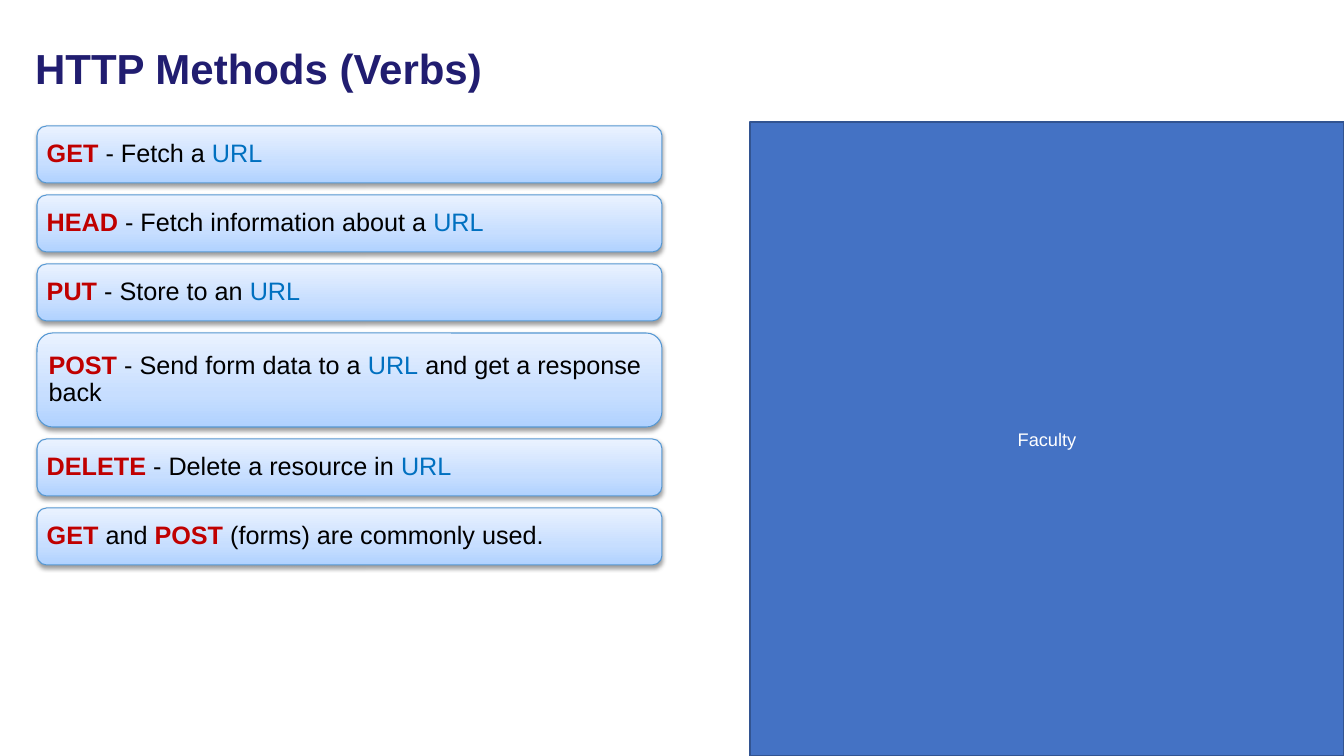
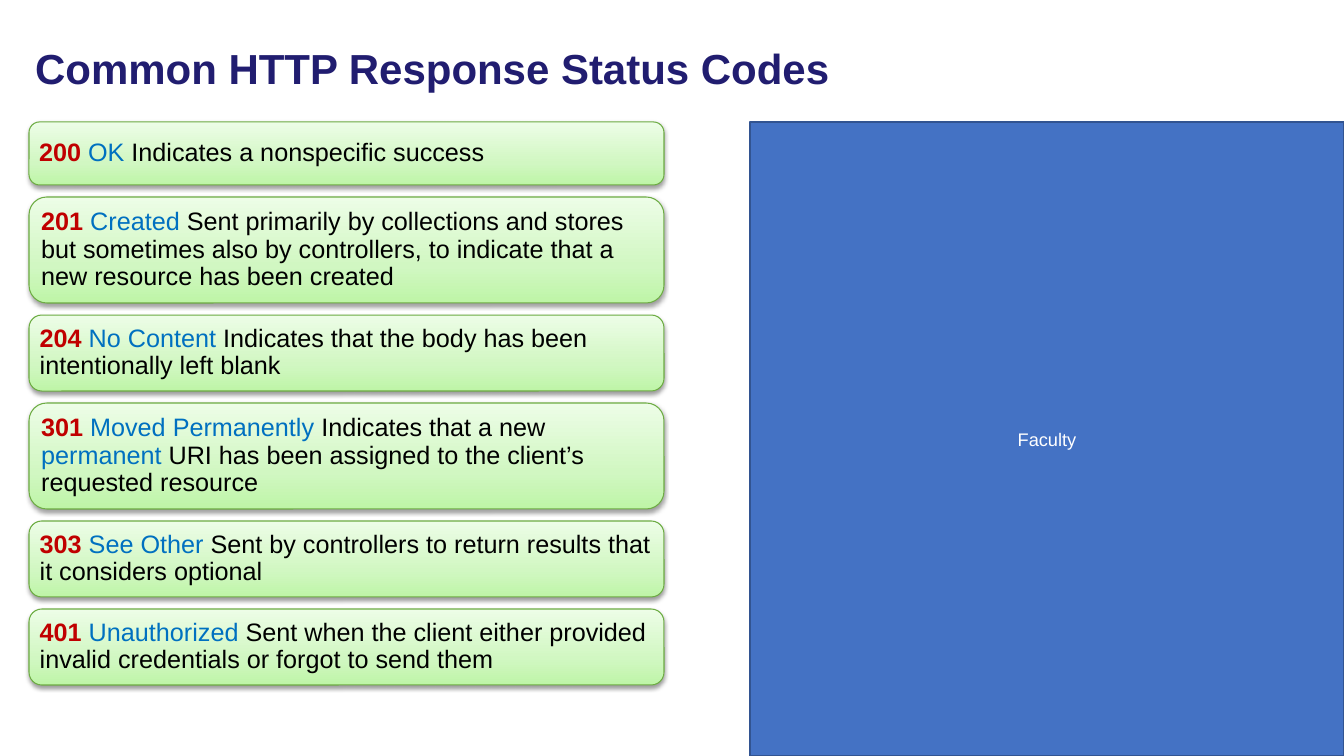
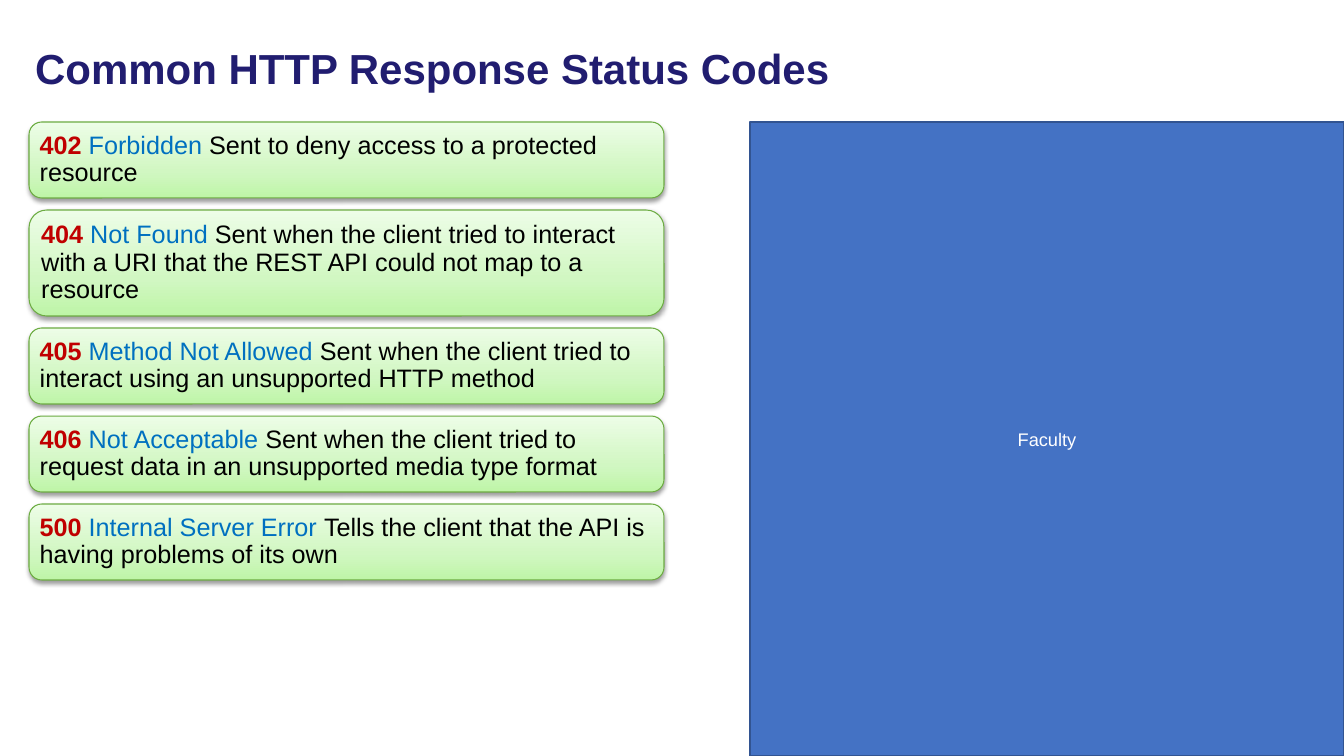
import copy

import lxml.etree
import pptx
import pptx.dml.color
import pptx.enum.shapes
import pptx.enum.text
import pptx.oxml.ns
import pptx.util

RGBColor = pptx.dml.color.RGBColor
MSO_ANCHOR = pptx.enum.text.MSO_ANCHOR
MSO_SHAPE = pptx.enum.shapes.MSO_SHAPE
PP_ALIGN = pptx.enum.text.PP_ALIGN
qn = pptx.oxml.ns.qn

SLIDE_WIDTH, SLIDE_HEIGHT = 1344, 756
EMU_PER_PX = 12192000 / SLIDE_WIDTH
FONT = "Arial"

NAVY = RGBColor(0x21, 0x1D, 0x70)
RED = RGBColor(0xC0, 0x00, 0x00)
LINK_BLUE = RGBColor(0x00, 0x70, 0xC0)
BLACK = RGBColor(0x00, 0x00, 0x00)
WHITE = RGBColor(0xFF, 0xFF, 0xFF)
PANEL_BLUE = RGBColor(0x44, 0x72, 0xC4)
PANEL_EDGE = RGBColor(0x32, 0x54, 0x91)
BLUE_EDGE = RGBColor(0x56, 0x98, 0xD3)
BLUE_STOPS = (RGBColor(0xB0, 0xD2, 0xFF), RGBColor(0xC7, 0xDE, 0xFF), RGBColor(0xEA, 0xF2, 0xFF))
GREEN_EDGE = RGBColor(0x6D, 0xAC, 0x43)
GREEN_STOPS = (RGBColor(0xBE, 0xF5, 0xA7), RGBColor(0xD1, 0xF7, 0xC2), RGBColor(0xED, 0xFD, 0xE7))
BLUE_THEME = (BLUE_STOPS, BLUE_EDGE)
GREEN_THEME = (GREEN_STOPS, GREEN_EDGE)
STOP_POSITIONS = (0, 0.35, 1)

TITLE_BOX = (25, 25, 1190, 92)
PANEL_BOX = (750, 122, 594, 634)
METHOD_COLUMN = (37, 126, 625)
STATUS_COLUMN = (29, 122, 635)
CARD_GAP = 12
CARD_INSET = 7

METHOD_CARDS = [
    (57, [("GET", RED), (" - Fetch a ", BLACK), ("URL", LINK_BLUE)]),
    (57, [("HEAD", RED), (" - Fetch information about a ", BLACK), ("URL", LINK_BLUE)]),
    (57, [("PUT", RED), (" - Store to an ", BLACK), ("URL", LINK_BLUE)]),
    (94, [("POST", RED), (" - Send form data to a ", BLACK), ("URL", LINK_BLUE),
          (" and get a response back", BLACK)]),
    (57, [("DELETE", RED), (" - Delete a resource in ", BLACK), ("URL", LINK_BLUE)]),
    (57, [("GET", RED), (" and ", BLACK), ("POST", RED), (" (forms) are commonly used.", BLACK)]),
]
SUCCESS_CARDS = [
    (63, [("200 ", RED), ("OK", LINK_BLUE), (" Indicates a nonspecific success", BLACK)]),
    (106, [("201 ", RED), ("Created", LINK_BLUE),
           (" Sent primarily by collections and stores but sometimes also by controllers, "
            "to indicate that a new resource has been created", BLACK)]),
    (76, [("204 ", RED), ("No Content ", LINK_BLUE),
          ("Indicates that the body has been intentionally left blank", BLACK)]),
    (106, [("301 ", RED), ("Moved Permanently ", LINK_BLUE), ("Indicates that a new ", BLACK),
           ("permanent ", LINK_BLUE),
           ("URI has been assigned to the client’s requested resource", BLACK)]),
    (76, [("303 ", RED), ("See Other ", LINK_BLUE),
          ("Sent by controllers to return results that it considers optional", BLACK)]),
    (76, [("401 ", RED), ("Unauthorized", LINK_BLUE),
          (" Sent when the client either provided invalid credentials or forgot to send them", BLACK)]),
]
ERROR_CARDS = [
    (76, [("402 ", RED), ("Forbidden", LINK_BLUE),
          (" Sent to deny access to a protected resource", BLACK)]),
    (106, [("404 ", RED), ("Not Found ", LINK_BLUE),
           ("Sent when the client tried to interact with a URI that the REST API "
            "could not map to a resource", BLACK)]),
    (76, [("405 ", RED), ("Method Not Allowed ", LINK_BLUE),
          ("Sent when the client tried to interact using an unsupported HTTP method", BLACK)]),
    (76, [("406 ", RED), ("Not Acceptable ", LINK_BLUE),
          ("Sent when the client tried to request data in an unsupported media type format", BLACK)]),
    (76, [("500 ", RED), ("Internal Server Error ", LINK_BLUE),
          ("Tells the client that the API is having problems of its own", BLACK)]),
]
SLIDES = [
    ("HTTP Methods (Verbs)", METHOD_COLUMN, BLUE_THEME, METHOD_CARDS),
    ("Common HTTP Response Status Codes", STATUS_COLUMN, GREEN_THEME, SUCCESS_CARDS),
    ("Common HTTP Response Status Codes", STATUS_COLUMN, GREEN_THEME, ERROR_CARDS),
]


def px(length):
    return pptx.util.Emu(round(length * EMU_PER_PX))


def format_run(run, size, color, bold=False):
    run.font.name = FONT
    run.font.size = pptx.util.Pt(size)
    run.font.bold = bold
    run.font.color.rgb = color


def add_box(slide, kind, box, edge, edge_width):
    shape = slide.shapes.add_shape(kind, *map(px, box))
    shape.shadow.inherit = False
    shape.line.color.rgb = edge
    shape.line.width = pptx.util.Pt(edge_width)
    shape.text_frame.word_wrap = True
    shape.text_frame.vertical_anchor = MSO_ANCHOR.MIDDLE
    return shape


def move_panel_to_layout(slide, box):
    panel = add_box(slide, MSO_SHAPE.RECTANGLE, box, PANEL_EDGE, 2)
    panel.fill.solid()
    panel.fill.fore_color.rgb = PANEL_BLUE
    paragraph = panel.text_frame.paragraphs[0]
    paragraph.text = "Faculty"
    paragraph.alignment = PP_ALIGN.CENTER
    format_run(paragraph.runs[0], 13, WHITE)
    slide.slide_layout.shapes.element.append(panel.element)


def set_title(slide, text, box):
    title = slide.shapes.title
    title.left, title.top, title.width, title.height = map(px, box)
    text_frame = title.text_frame
    text_frame.text = text
    text_frame.word_wrap = True
    text_frame.auto_size = pptx.enum.text.MSO_AUTO_SIZE.NONE
    text_frame.vertical_anchor = MSO_ANCHOR.MIDDLE
    paragraph = text_frame.paragraphs[0]
    paragraph.alignment = PP_ALIGN.LEFT
    paragraph.line_spacing = 0.9
    format_run(paragraph.runs[0], 30, NAVY, True)


def set_gradient(shape, colors):
    shape.fill.gradient()
    shape.fill.gradient_angle = 90
    stop_list = shape.element.spPr.find(".//" + qn("a:gsLst"))
    stop_list.append(copy.deepcopy(stop_list[-1]))
    for stop, position, color in zip(shape.fill.gradient_stops, STOP_POSITIONS, colors):
        stop.position = position
        stop.color.rgb = color


def set_shadow(shape):
    effects = shape.element.spPr.find(qn("a:effectLst"))
    shadow = lxml.etree.SubElement(effects, qn("a:outerShdw"), blurRad="40000",
                                   dist="20000", dir="5400000", rotWithShape="0")
    color = lxml.etree.SubElement(shadow, qn("a:srgbClr"), val="000000")
    lxml.etree.SubElement(color, qn("a:alpha"), val="38000")


def add_card(slide, box, theme, pieces):
    colors, edge = theme
    card = add_box(slide, MSO_SHAPE.ROUNDED_RECTANGLE, box, edge, 0.75)
    set_gradient(card, colors)
    set_shadow(card)
    text_frame = card.text_frame
    text_frame.margin_left = text_frame.margin_right = px(CARD_INSET)
    text_frame.margin_top = text_frame.margin_bottom = px(CARD_INSET)
    paragraph = text_frame.paragraphs[0]
    paragraph.alignment = PP_ALIGN.LEFT
    paragraph.line_spacing = 0.9
    for text, color in pieces:
        run = paragraph.add_run()
        run.text = text
        format_run(run, 18, color, color == RED)


def add_card_column(slide, column, theme, cards):
    left, top, width = column
    for height, pieces in cards:
        add_card(slide, (left, top, width, height), theme, pieces)
        top += height + CARD_GAP


def main():
    presentation = pptx.Presentation()
    presentation.slide_width = px(SLIDE_WIDTH)
    presentation.slide_height = px(SLIDE_HEIGHT)
    layout = presentation.slide_layouts.get_by_name("Title Only")
    for title, column, theme, cards in SLIDES:
        slide = presentation.slides.add_slide(layout)
        set_title(slide, title, TITLE_BOX)
        add_card_column(slide, column, theme, cards)
    move_panel_to_layout(presentation.slides[0], PANEL_BOX)
    presentation.save("out.pptx")


if __name__ == "__main__":
    main()
